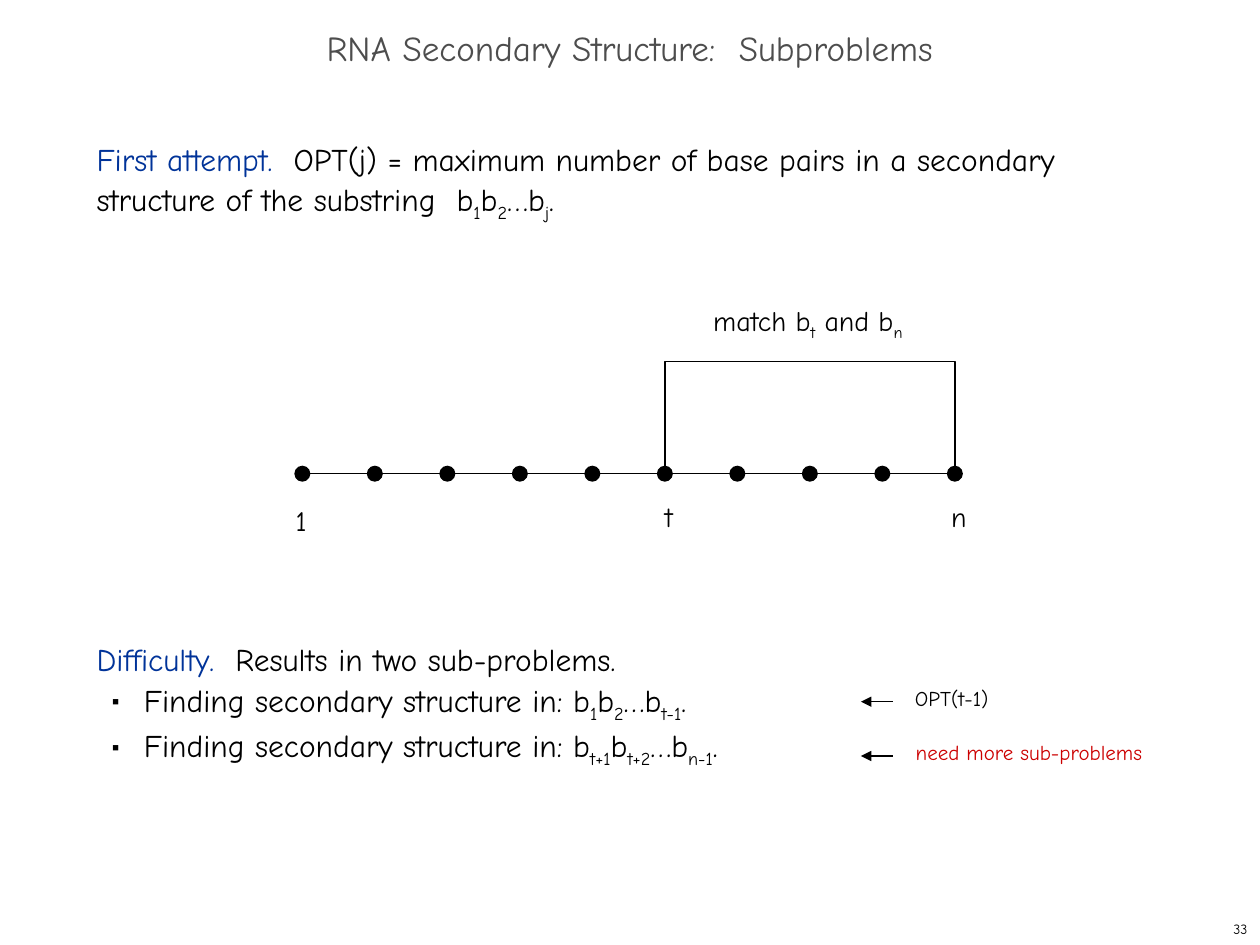
from dataclasses import dataclass

from lxml.etree import SubElement
from pptx import Presentation
from pptx.dml.color import RGBColor
from pptx.enum.shapes import MSO_CONNECTOR, MSO_SHAPE
from pptx.enum.text import MSO_ANCHOR, MSO_AUTO_SIZE, PP_ALIGN
from pptx.oxml.ns import qn
from pptx.util import Pt


@dataclass(frozen=True)
class Theme:
    """Colours, font and sizes of the slide."""
    font: str = "Comic Neue"
    ink: str = "000000"
    grey: str = "4D4D4D"
    blue: str = "003399"
    red: str = "CC0000"
    title: float = 20
    body: float = 18
    label: float = 16
    note: float = 12
    number: float = 8
    leading: float = 26
    line: float = 0.75


class Builder:
    """Draws styled elements on the current slide."""

    def __init__(self, slide, theme):
        """Keep the slide and the theme."""
        self.s, self.t = slide, theme

    def runs(self, p, text, size, color):
        """Add runs to a paragraph; text between bars is subscript."""
        for i, part in enumerate(text.split("|")):
            r = p.add_run()
            r.text = part
            r.font.name, r.font.size = self.t.font, Pt(size)
            r.font.color.rgb = RGBColor.from_string(color)
            if i % 2:
                r._r.get_or_add_rPr().set("baseline", "-25000")

    def place(self, sp, x, y, w, h):
        """Set position and size in points."""
        sp.left, sp.top, sp.width, sp.height = Pt(x), Pt(y), Pt(w), Pt(h)

    def title(self, text, *box):
        """Fill the title placeholder."""
        sp = self.s.shapes.title
        self.place(sp, *box)
        tf = sp.text_frame
        tf.auto_size, tf.vertical_anchor = MSO_AUTO_SIZE.NONE, MSO_ANCHOR.MIDDLE
        p = tf.paragraphs[0]
        p.alignment, p.line_spacing = PP_ALIGN.CENTER, 0.7
        self.runs(p, text, self.t.title, self.t.grey)

    def body(self, items, *box):
        """Fill the body placeholder with (lead, text, space before) items."""
        sp = self.s.placeholders[1]
        self.place(sp, *box)
        tf = sp.text_frame
        tf.auto_size, tf.vertical_anchor = MSO_AUTO_SIZE.NONE, MSO_ANCHOR.TOP
        for i, (lead, text, before) in enumerate(items):
            p = tf.add_paragraph() if i else tf.paragraphs[0]
            self.bullet(p, not lead)
            p.line_spacing, p.space_before = Pt(self.t.leading), Pt(before)
            if lead:
                self.runs(p, lead, self.t.body, self.t.blue)
            self.runs(p, text, self.t.body, self.t.ink)

    def bullet(self, p, on):
        """Give a paragraph a small square bullet, or none."""
        if on:
            p.level = 1
        pPr = p._p.get_or_add_pPr()
        pPr.set("marL", str(Pt(27 if on else 0)))
        pPr.set("indent", str(Pt(-18 if on else 0)))
        if on:
            clr = SubElement(pPr, qn("a:buClr"))
            SubElement(clr, qn("a:srgbClr"), val=self.t.ink)
            SubElement(pPr, qn("a:buSzPct"), val="35000")
            SubElement(pPr, qn("a:buChar"), char="■")
        else:
            SubElement(pPr, qn("a:buNone"))

    def text(self, text, x, y, w, h, size, color=None, align=PP_ALIGN.LEFT,
             anchor=MSO_ANCHOR.TOP):
        """Add a one-line text box."""
        tf = self.s.shapes.add_textbox(Pt(x), Pt(y), Pt(w), Pt(h)).text_frame
        tf.word_wrap, tf.vertical_anchor = False, anchor
        p = tf.paragraphs[0]
        p.alignment = align
        self.runs(p, text, size, color or self.t.ink)

    def outline(self, sp):
        """Apply the common line style."""
        sp.line.color.rgb = RGBColor.from_string(self.t.ink)
        sp.line.width = Pt(self.t.line)

    def dot(self, x, y, d):
        """Add a filled dot centred on a point."""
        sp = self.s.shapes.add_shape(
            MSO_SHAPE.OVAL, Pt(x - d / 2), Pt(y - d / 2), Pt(d), Pt(d))
        sp.shadow.inherit = False
        sp.fill.solid()
        sp.fill.fore_color.rgb = RGBColor.from_string(self.t.ink)
        self.outline(sp)

    def line(self, x1, x2, y, arrow=False):
        """Add a horizontal line, with an arrowhead at its end if asked."""
        c = self.s.shapes.add_connector(
            MSO_CONNECTOR.STRAIGHT, Pt(x1), Pt(y), Pt(x2), Pt(y))
        self.outline(c)
        if arrow:
            SubElement(c.line._get_or_add_ln(), qn("a:tailEnd"), type="triangle")
        SubElement(c._element.spPr, qn("a:effectLst"))

    def bracket(self, x1, x2, top, bottom):
        """Add an open bracket that joins two points from above."""
        fb = self.s.shapes.build_freeform(Pt(x1), Pt(bottom))
        fb.add_line_segments(
            [(Pt(x1), Pt(top)), (Pt(x2), Pt(top)), (Pt(x2), Pt(bottom))],
            close=False)
        sp = fb.convert_to_shape()
        sp.shadow.inherit = False
        sp.fill.background()
        self.outline(sp)


def main():
    """Build the slide and save it."""
    prs = Presentation()
    prs.slide_width, prs.slide_height = Pt(720), Pt(540)
    t = Theme()
    b = Builder(prs.slides.add_slide(prs.slide_layouts[1]), t)

    b.text("33", 570, 522, 150, 18, t.number, align=PP_ALIGN.RIGHT,
           anchor=MSO_ANCHOR.MIDDLE)
    b.title("RNA Secondary Structure:  Subproblems", 0, 12, 720, 36)
    b.body([
        ("First attempt.", "  OPT(j) = maximum number of base pairs in a secondary "
         "structure of the substring  b|1|b|2|…b|j|.", 0),
        ("Difficulty.", "  Results in two sub-problems.", 9 * t.leading),
        ("", "Finding secondary structure in: b|1|b|2|…b|t-1|.", 0),
        ("", "Finding secondary structure in: b|t+1|b|t+2|…b|n-1|.", 0),
    ], 48, 72, 618, 426)

    d, y = 8.4, 270.7
    xs = [172.8 + 41.43 * i for i in range(10)]
    for x in xs:
        b.dot(x, y, d)
    for x1, x2 in zip(xs, xs[1:]):
        b.line(x1 + d / 2, x2 - d / 2, y)
    b.bracket(xs[5], xs[9], 206.6, y - d / 2)
    for text, x, top in (("1", xs[0] - 0.7, 274.3), ("t", xs[5] + 2.2, 272.2),
                         ("n", xs[9] + 2.2, 272.2)):
        b.text(text, x - 23, top, 46, 46, t.label, align=PP_ALIGN.CENTER,
               anchor=MSO_ANCHOR.MIDDLE)
    b.text("match b|t| and b|n|", 400.5, 170, 130, 26.6, t.label)

    b.text("OPT(t-1)", 515.7, 388, 63.4, 21.6, t.note)
    b.text("need more sub-problems", 516.2, 419.2, 151.2, 21.6, t.note, t.red)
    for top in (401, 432):
        b.line(510.2, 492, top, arrow=True)

    prs.save("out.pptx")


if __name__ == "__main__":
    main()
